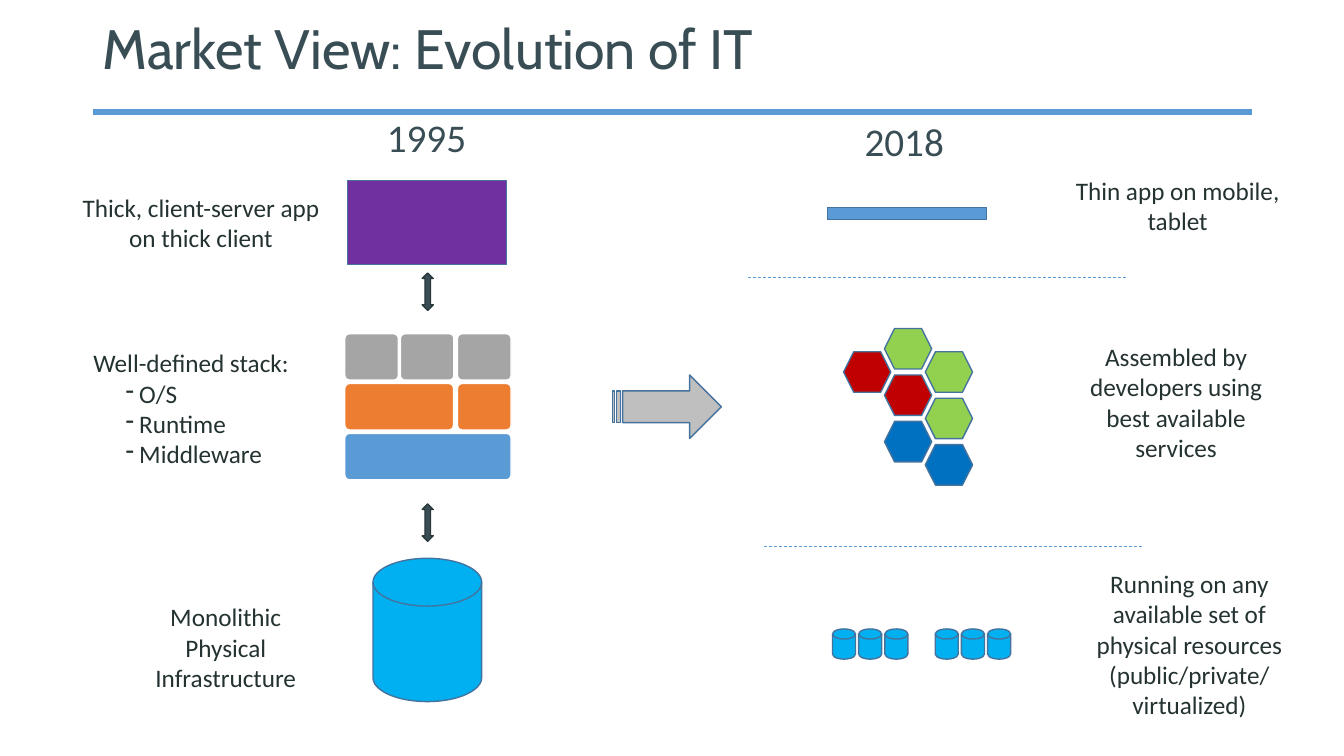
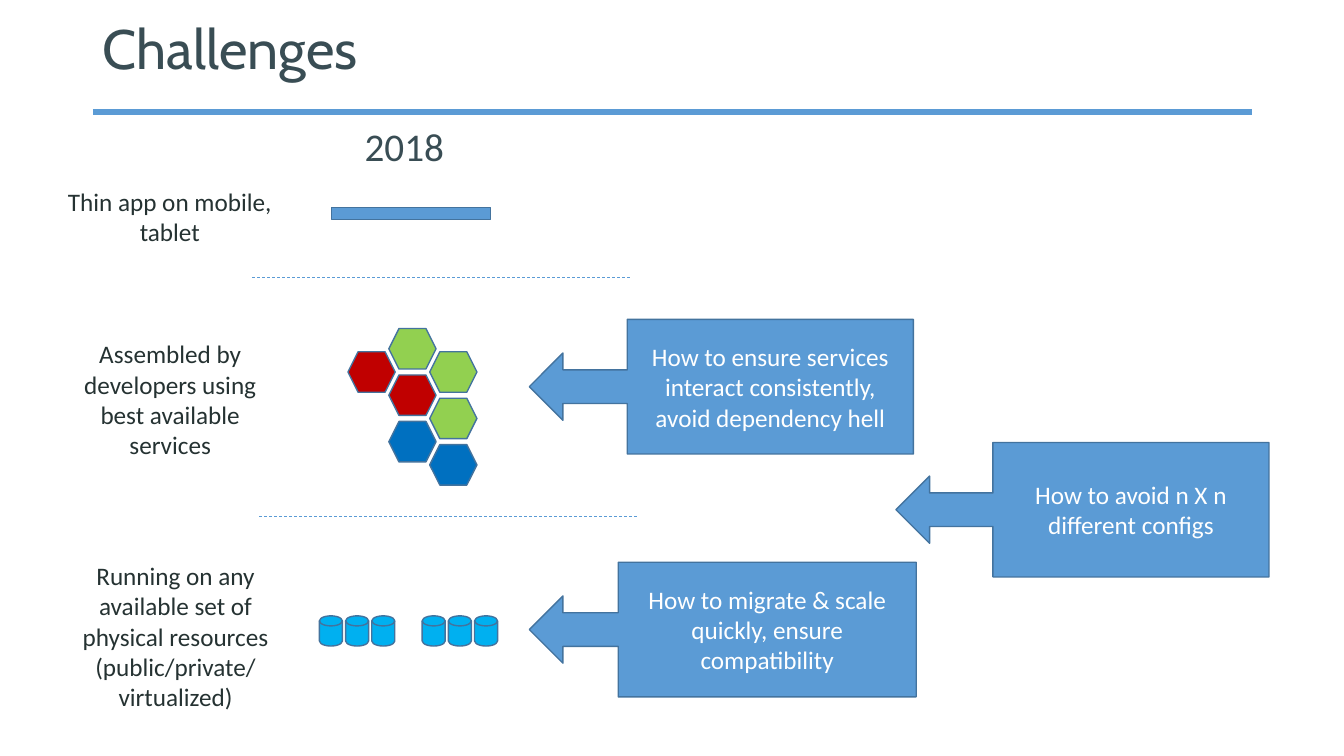
"""Build two slides on the evolution of IT and its challenges."""
from lxml import etree
from pptx import Presentation
from pptx.dml.color import RGBColor
from pptx.enum import dml, shapes, text
from pptx.oxml import ns
from pptx.util import Cm, Pt

COLOURS = {
    "heading": "394D54", "body": "253232", "white": "FFFFFF",
    "blue": "5B9BD5", "outline": "43739E", "arrow_edge": "2A393E",
    "purple": "7030A0", "orange": "ED7D31", "grey": "A5A5A5",
    "silver": "BFBFBF", "red": "C00000", "green": "92D050",
    "navy": "0070C0", "cyan": "00B0F0",
}
KIND = shapes.MSO_SHAPE
CENTER = text.PP_ALIGN.CENTER
MIDDLE = text.MSO_ANCHOR.MIDDLE

THIN_APP = ["Thin app on mobile, tablet"]
SERVICES = ["Assembled by developers using best available services"]
RESOURCES = ["Running on any available set of physical resources",
             "(public/private/", "virtualized)"]


def rgb(name):
    """Return the named colour."""
    return RGBColor.from_string(COLOURS[name])


def write(frame, lines, size=18, font="Calibri", colour="body", align=CENTER,
          anchor=text.MSO_ANCHOR.TOP, wrap=True, spacing=None, dashed_from=None):
    """Fill a text frame; lines from dashed_from on become a dash list."""
    frame.word_wrap = wrap
    frame.vertical_anchor = anchor
    for index, line in enumerate(lines):
        paragraph = frame.paragraphs[0] if index == 0 else frame.add_paragraph()
        paragraph.text = line
        paragraph.alignment = align
        if spacing:
            paragraph.line_spacing = spacing
        if dashed_from is not None and index >= dashed_from:
            paragraph.alignment = text.PP_ALIGN.LEFT
            properties = paragraph._p.get_or_add_pPr()
            properties.set("marL", str(Cm(1.48)))
            properties.set("indent", str(-Cm(0.34)))
            etree.SubElement(properties, ns.qn("a:buChar")).set("char", "-")
        paragraph.font.size = Pt(size)
        paragraph.font.name = font
        paragraph.font.color.rgb = rgb(colour)


def add_text(slide, box, lines, **style):
    """Add a text box with formatted lines."""
    label = slide.shapes.add_textbox(*map(Cm, box))
    write(label.text_frame, lines, **style)


def add_shape(slide, kind, box, fill, edge="outline", adjust=()):
    """Add a filled and outlined preset shape."""
    shape = slide.shapes.add_shape(kind, *map(Cm, box))
    shape.shadow.inherit = False
    shape.fill.solid()
    shape.fill.fore_color.rgb = rgb(fill)
    shape.line.color.rgb = rgb(edge)
    shape.line.width = Pt(1)
    for index, value in enumerate(adjust):
        shape.adjustments[index] = value
    return shape


def add_rule(slide, left, top, length, width, dash=None):
    """Add a horizontal blue line."""
    rule = slide.shapes.add_connector(
        shapes.MSO_CONNECTOR.STRAIGHT, Cm(left), Cm(top), Cm(left + length), Cm(top))
    rule.line.color.rgb = rgb("blue")
    rule.line.width = Pt(width)
    if dash:
        rule.line.dash_style = dash
    etree.SubElement(rule._element.spPr, ns.qn("a:effectLst"))


def add_titled_slide(deck, title):
    """Add a blank slide with the shared title and rule."""
    slide = deck.slides.add_slide(deck.slide_layouts[6])
    add_rule(slide, 2.34, 2.82, 29.21, 3.75)
    add_text(slide, (2.34, 0.38, 29.21, 1.85), [title], size=39.6, font="Cabin",
             colour="heading", align=text.PP_ALIGN.LEFT, anchor=MIDDLE, spacing=0.9)
    return slide


def add_year(slide, left, top, year):
    """Add a year heading."""
    add_text(slide, (left, top, 2.54, 1.45), [year], size=28, colour="heading",
             align=text.PP_ALIGN.LEFT, wrap=False)


def add_services(slide, left, top):
    """Add the honeycomb of services on a half-step grid."""
    cells = [(0, 1, "red"), (1, 2, "red"), (2, 1, "green"), (1, 0, "green"),
             (2, 3, "green"), (1, 4, "navy"), (2, 5, "navy")]
    for column, row, fill in cells:
        add_shape(slide, KIND.HEXAGON,
                  (left + column * 1.03, top + row * 0.585, 1.19, 1.02), fill)


def add_servers(slide, left, top):
    """Add two clusters of three small disks."""
    for cluster in range(2):
        for disk in range(3):
            add_shape(slide, KIND.FLOWCHART_MAGNETIC_DISK,
                      (left + cluster * 2.59 + disk * 0.66, top, 0.58, 0.76), "cyan")


def add_stack(slide, left, top):
    """Add the three-layer software stack."""
    bricks = [(0, 2, 4.19, "blue"), (0, 1, 2.74, "orange"), (2.84, 1, 1.35, "orange"),
              (0, 0, 1.35, "grey"), (1.4, 0, 1.35, "grey"), (2.84, 0, 1.35, "grey")]
    for offset, row, width, fill in bricks:
        add_shape(slide, KIND.ROUNDED_RECTANGLE,
                  (left + offset, top + row * 1.255, width, 1.17), fill, "white", [0.1])


def add_1995(slide, left):
    """Add the 1995 column around the client box at left."""
    add_year(slide, left + 0.74, 2.74, "1995")
    add_shape(slide, KIND.RECTANGLE, (left, 4.55, 4.01, 2.11), "purple")
    add_stack(slide, left - 0.07, 8.41)
    add_shape(slide, KIND.FLOWCHART_MAGNETIC_DISK,
              (left + 0.64, 14.07, 2.74, 3.61), "cyan")
    for top in (6.88, 12.7):
        add_shape(slide, KIND.UP_DOWN_ARROW, (left + 1.88, top, 0.28, 0.94),
                  "heading", "arrow_edge")
    add_text(slide, (left - 7.01, 4.72, 6.63, 1.8),
             ["Thick, client-server app on thick client"])
    add_text(slide, (left - 6.98, 8.64, 6.07, 3.33),
             ["Well-defined stack:", "O/S", "Runtime", "Middleware"], dashed_from=1)
    add_text(slide, (left - 6.12, 15.04, 6.1, 2.57),
             ["Monolithic", "Physical", "Infrastructure"])


def add_2018(slide, left, year, divider, servers, labels):
    """Add the 2018 column around the thin bar at left."""
    add_year(slide, *year, "2018")
    add_shape(slide, KIND.RECTANGLE, (left, 5.23, 4.01, 0.3), "blue")
    add_services(slide, left + 0.41, 8.28)
    for start, top in ((left - 2, 6.99), divider):
        add_rule(slide, start, top, 9.53, 0.5, dml.MSO_LINE.DASH)
    add_servers(slide, *servers)
    sizes = [(6.22, 1.8), (5.74, 3.33), (5.59, 4.11)]
    for place, size, lines in zip(labels, sizes, [THIN_APP, SERVICES, RESOURCES]):
        add_text(slide, place + size, lines)


def add_challenge(slide, left, top, width, body, question):
    """Add a left-pointing callout whose body takes the given share."""
    callout = add_shape(slide, KIND.LEFT_ARROW_CALLOUT, (left, top, width, 3.39),
                        "blue", adjust=[0.25, 0.25, 0.25, body])
    write(callout.text_frame, [question], colour="white", anchor=MIDDLE)


def build_evolution(deck):
    """Build the slide comparing 1995 with 2018."""
    slide = add_titled_slide(deck, "Market View: Evolution of IT")
    add_1995(slide, 8.76)
    add_shape(slide, KIND.STRIPED_RIGHT_ARROW, (15.44, 9.45, 2.74, 1.6), "silver")
    add_2018(slide, 20.85, year=(21.54, 2.82), divider=(19.25, 13.77),
             servers=(20.98, 15.85),
             labels=[(26.57, 4.29), (26.77, 8.48), (27.18, 14.2)])


def build_challenges(deck):
    """Build the slide with the open questions of 2018."""
    slide = add_titled_slide(deck, "Challenges")
    add_2018(slide, 8.36, year=(8.94, 2.97), divider=(6.53, 13),
             servers=(8.05, 15.52),
             labels=[(1.17, 4.57), (1.42, 8.41), (1.63, 14)])
    add_challenge(slide, 13.34, 8.05, 9.68, 0.745,
                  "How to ensure services interact consistently, avoid dependency hell")
    add_challenge(slide, 13.34, 14.17, 9.75, 0.77,
                  "How to migrate & scale quickly, ensure compatibility")
    add_challenge(slide, 22.58, 11.15, 9.4, 0.74,
                  "How to avoid n X n different configs")


def main():
    """Build and save the presentation."""
    deck = Presentation()
    deck.slide_width, deck.slide_height = Cm(33.87), Cm(19.05)
    build_evolution(deck)
    build_challenges(deck)
    deck.save("out.pptx")


if __name__ == "__main__":
    main()
